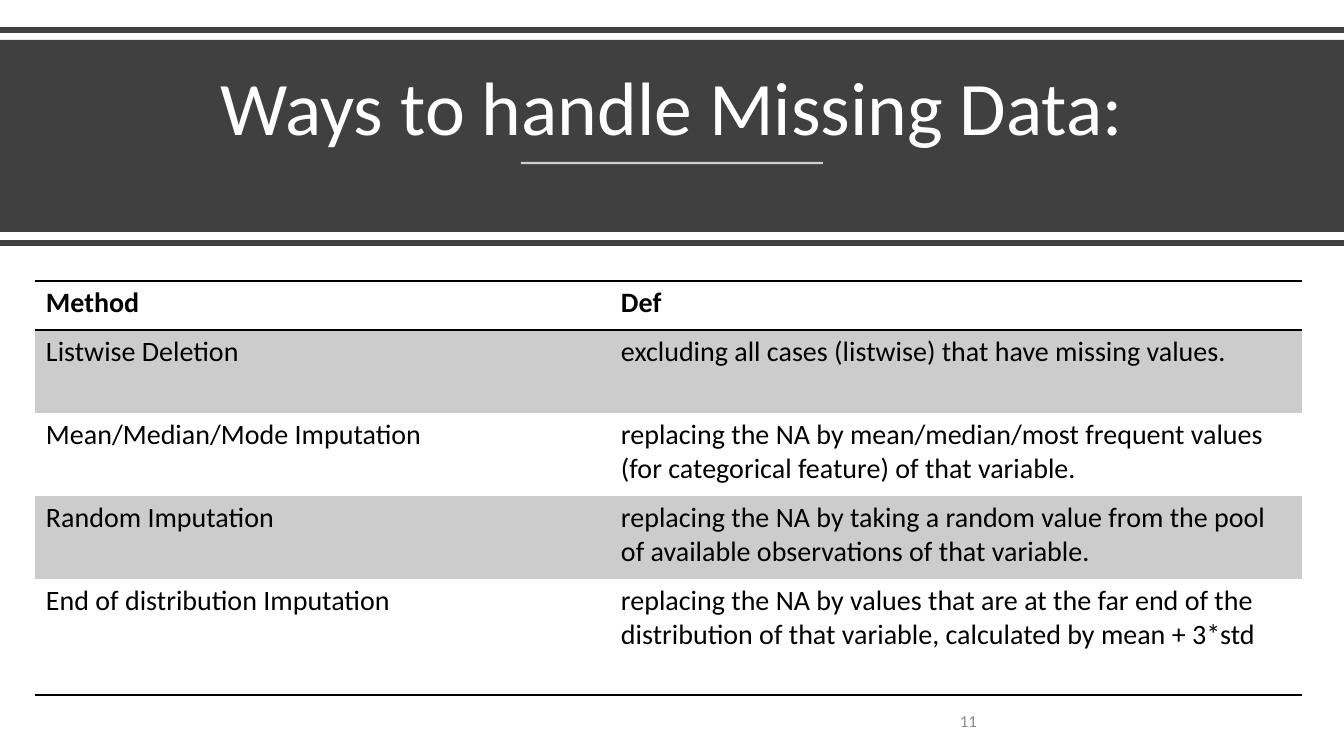
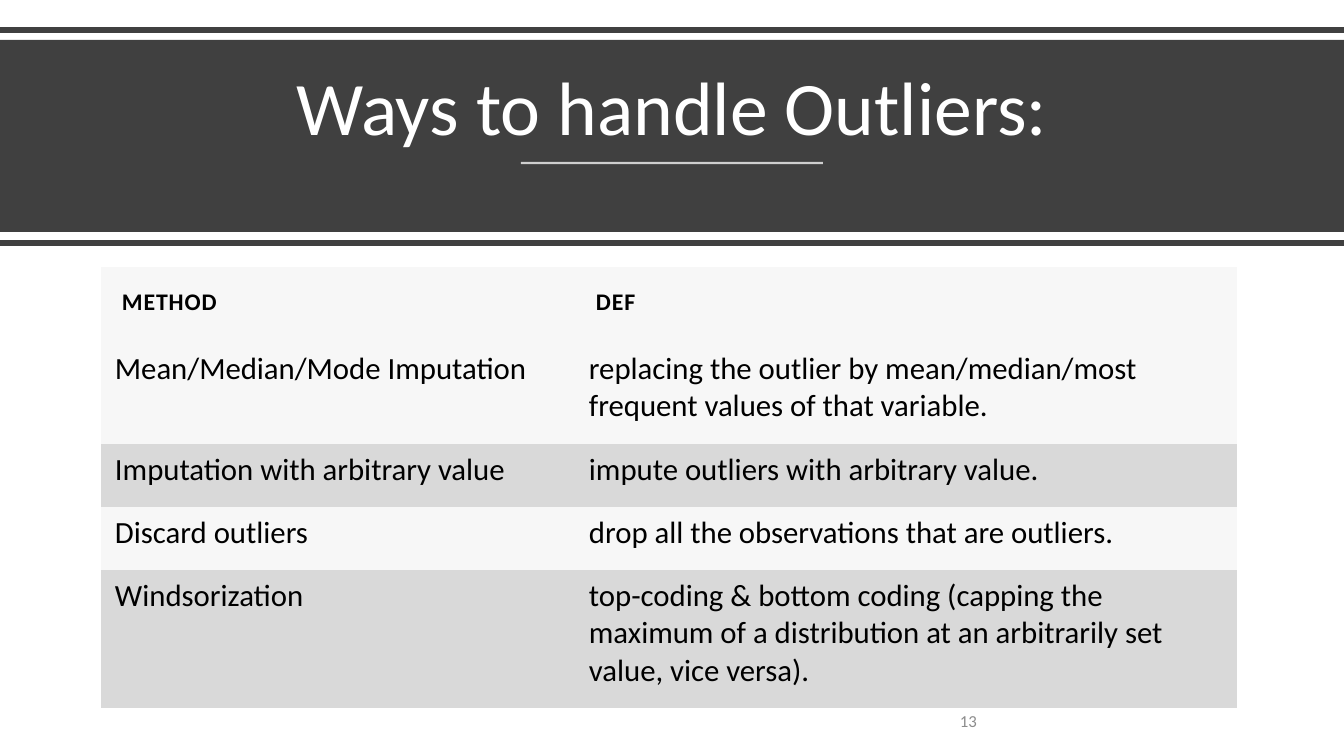
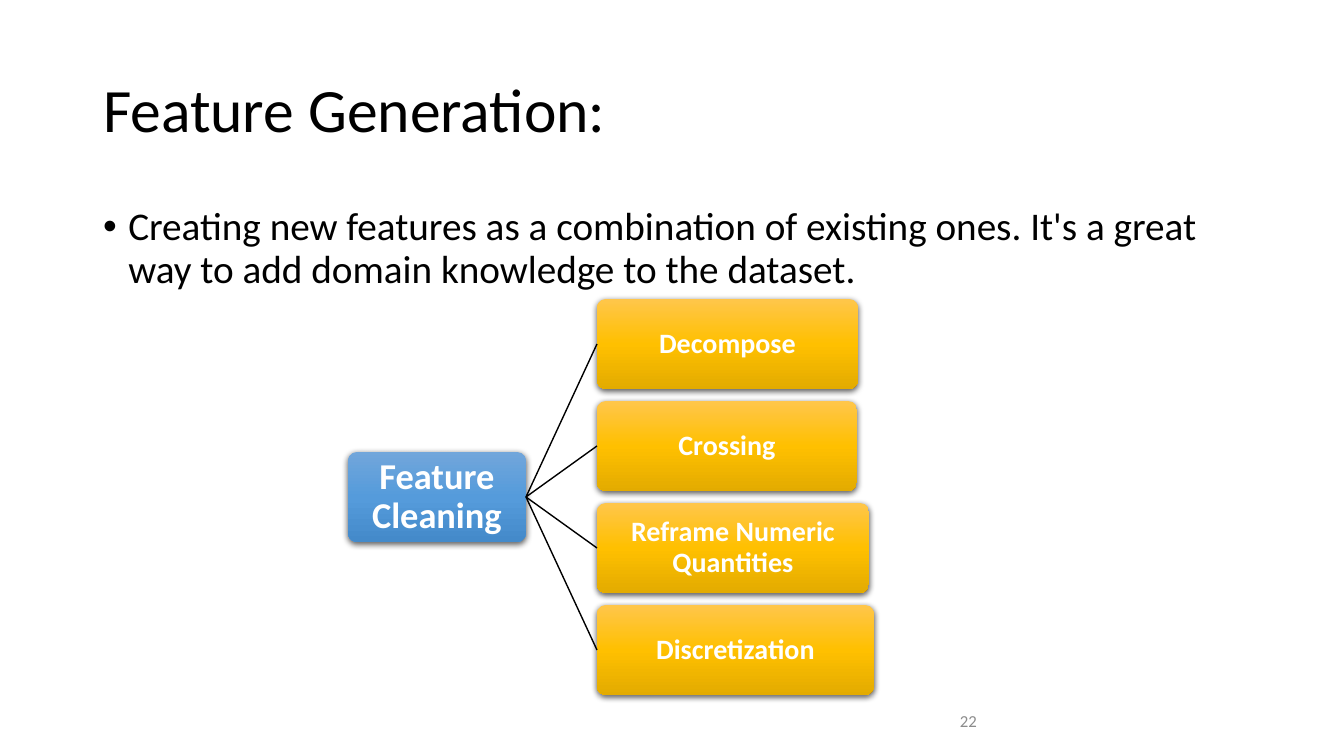
from dataclasses import dataclass

from lxml.etree import SubElement
from pptx import Presentation
from pptx.dml.color import RGBColor
from pptx.enum.shapes import MSO_CONNECTOR, MSO_SHAPE
from pptx.enum.text import MSO_ANCHOR, MSO_AUTO_SIZE, PP_ALIGN
from pptx.oxml.ns import qn
from pptx.util import Emu, Pt

LEFT, CENTER = PP_ALIGN.LEFT, PP_ALIGN.CENTER
TOP, MIDDLE, BOTTOM = MSO_ANCHOR.TOP, MSO_ANCHOR.MIDDLE, MSO_ANCHOR.BOTTOM
STRAIGHT = MSO_CONNECTOR.STRAIGHT
RECTANGLE, ROUNDED = MSO_SHAPE.RECTANGLE, MSO_SHAPE.ROUNDED_RECTANGLE
NO_AUTOFIT = MSO_AUTO_SIZE.NONE
LEFT_SITE, RIGHT_SITE = 1, 3
SCALE = 914400 / 100.8
WIDTH, HEIGHT = 1344, 756
PLAIN_TABLE = "{2D5ABB26-0587-4C30-8999-92F81FD0307C}"


@dataclass(frozen=True)
class Theme:
    font: str = "Calibri"
    dark: str = "404040"
    white: str = "FFFFFF"
    black: str = "000000"
    number: str = "8C8C8C"
    shade: str = "CCCCCC"
    pale: str = "F7F7F7"
    gray: str = "D9D9D9"
    blue: tuple = ("71A6DB", "559BDB", "448ACA")
    gold: tuple = ("FFC64B", "FFC000", "E3AB00")
    band_title_size: int = 54
    title_size: int = 44
    body_size: int = 28
    root_size: int = 26
    branch_size: int = 20
    number_size: int = 12


theme = Theme()


def px(*lengths):
    return [Emu(round(length * SCALE)) for length in lengths]


def write(frame, text, size, color=theme.black, bold=False, align=LEFT,
          spacing=None, before=None, tracking=0):
    paragraph = frame.paragraphs[0]
    paragraph.alignment = align
    paragraph.line_spacing = spacing
    paragraph.space_before = before
    run = paragraph.add_run()
    run.text = text
    run.font.name = theme.font
    run.font.size = Pt(size)
    run.font.bold = bold
    run.font.color.rgb = RGBColor.from_string(color)
    if tracking:
        run._r.get_or_add_rPr().set("spc", str(tracking))
    return paragraph


presentation = Presentation()
presentation.slide_width, presentation.slide_height = px(WIDTH, HEIGHT)
content_layout, title_layout = (presentation.slide_layouts[i] for i in (1, 5))
strokes = []  # connector, colour, width in points

# Table slides: cell margins run left, top, right, bottom
table_slides = [
    dict(
        title="Ways to handle Missing Data:",
        place=(35, 281), columns=(575, 692), rows=(49, 83, 83, 83, 116),
        header_margins=(11, 5, 11, 5), body_margins=(11, 5, 11, 5),
        header_size=20, body_size=20, tracking=0,
        fills=(None, theme.shade, None, theme.shade, None),
        borders={0: ("a:lnT", "a:lnB"), 4: ("a:lnB",)},
        cells=[
            ("Method", "Def"),
            ("Listwise Deletion",
             "excluding all cases (listwise) that have missing values."),
            ("Mean/Median/Mode Imputation",
             "replacing the NA by mean/median/most frequent values "
             "(for categorical feature) of that variable."),
            ("Random Imputation",
             "replacing the NA by taking a random value from the pool "
             "of available observations of that variable."),
            ("End of distribution Imputation",
             "replacing the NA by values that are at the far end of the "
             "distribution of that variable, calculated by mean + 3*std"),
        ],
    ),
    dict(
        title="Ways to handle Outliers:",
        place=(101, 267), columns=(474, 662), rows=(76, 101, 63, 63, 138),
        header_margins=(21, 21, 21, 21), body_margins=(14, 7, 14, 14),
        header_size=17, body_size=22, tracking=60,
        fills=(theme.pale, theme.pale, theme.gray, theme.pale, theme.gray),
        borders={},
        cells=[
            ("METHOD", "DEF"),
            ("Mean/Median/Mode Imputation",
             "replacing the outlier by mean/median/most frequent values "
             "of that variable."),
            ("Imputation with arbitrary value",
             "impute outliers with arbitrary value."),
            ("Discard outliers",
             "drop all the observations that are outliers."),
            ("Windsorization",
             "top-coding & bottom coding (capping the maximum of a "
             "distribution at an arbitrarily set value, vice versa)."),
        ],
    ),
]

for content in table_slides:
    slide = presentation.slides.add_slide(title_layout)
    shapes = slide.shapes

    # Title band with its rules
    band = shapes.add_shape(RECTANGLE, *px(0, 40, WIDTH, 192))
    band.shadow.inherit = False
    band.fill.solid()
    band.fill.fore_color.rgb = RGBColor.from_string(theme.dark)
    band.line.fill.background()
    for start, end, y, color, weight in (
        (0, WIDTH, 30, theme.dark, 4),
        (521, 823, 163, theme.white, 1.5),
        (0, WIDTH, 243, theme.dark, 4),
    ):
        rule = shapes.add_connector(STRAIGHT, *px(start, y, end, y))
        strokes.append((rule, color, weight))

    # Title, raised above the band
    title = shapes.title
    title.left, title.top, title.width, title.height = px(58, 54, 1228, 103)
    title.text_frame.auto_size = NO_AUTOFIT
    title.text_frame.vertical_anchor = BOTTOM
    write(title.text_frame, content["title"], theme.band_title_size,
          color=theme.white, align=CENTER, spacing=0.9)
    shapes._spTree.append(title._element)

    # Table
    columns, rows = content["columns"], content["rows"]
    graphic = shapes.add_table(len(rows), len(columns),
                               *px(*content["place"], sum(columns), sum(rows)))
    table = graphic.table
    table.horz_banding = False
    for style in graphic._element.iter(qn("a:tableStyleId")):
        style.text = PLAIN_TABLE
    for column, width in zip(table.columns, px(*columns)):
        column.width = width
    for row, height in zip(table.rows, px(*rows)):
        row.height = height
    for i, texts in enumerate(content["cells"]):
        header = i == 0
        part = "header" if header else "body"
        for j, text in enumerate(texts):
            cell = table.cell(i, j)
            (cell.margin_left, cell.margin_top, cell.margin_right,
             cell.margin_bottom) = px(*content[part + "_margins"])
            cell.vertical_anchor = TOP
            write(cell.text_frame, text, content[part + "_size"], bold=header,
                  tracking=content["tracking"] if header else 0)
            # Borders precede the fill in the cell properties
            for side in content["borders"].get(i, ()):
                border = SubElement(cell._tc.get_or_add_tcPr(), qn(side), w="12700")
                ink = SubElement(border, qn("a:solidFill"))
                SubElement(ink, qn("a:srgbClr"), val=theme.black)
            if content["fills"][i]:
                cell.fill.solid()
                cell.fill.fore_color.rgb = RGBColor.from_string(content["fills"][i])
            else:
                cell.fill.background()

# Feature generation: title and list
slide = presentation.slides.add_slide(content_layout)
shapes = slide.shapes
title, body = shapes.title, slide.placeholders[1]
title.left, title.top, title.width, title.height = px(93, 40, 1159, 146)
body.left, body.top, body.width, body.height = px(93, 202, 1159, 480)
for placeholder, anchor in ((title, MIDDLE), (body, TOP)):
    placeholder.text_frame.auto_size = NO_AUTOFIT
    placeholder.text_frame.vertical_anchor = anchor
write(title.text_frame, "Feature Generation:", theme.title_size, spacing=0.9)
item = write(body.text_frame,
             "Creating new features as a combination of existing ones. It's a "
             "great way to add domain knowledge to the dataset.",
             theme.body_size, spacing=0.9, before=Pt(10))
properties = item._p.get_or_add_pPr()
properties.set("marL", "228600")
properties.set("indent", "-228600")
SubElement(properties, qn("a:buFont"), typeface="Arial")
SubElement(properties, qn("a:buChar"), char="\u2022")

# Tree: the root box, then its branches
BRANCH_LEFT, BRANCH_TOP, BRANCH_PITCH = 597, 299, 102
branches = [("Decompose", 261), ("Crossing", 260),
            ("Reframe Numeric Quantities", 272), ("Discretization", 277)]
boxes = [("Feature Cleaning", 348, 452, 178, theme.blue, theme.root_size)]
boxes += [(text, BRANCH_LEFT, BRANCH_TOP + i * BRANCH_PITCH, width,
           theme.gold, theme.branch_size)
          for i, (text, width) in enumerate(branches)]
root = None
for text, left, top, width, colors, size in boxes:
    box = shapes.add_shape(ROUNDED, *px(left, top, width, 90))
    box.adjustments[0] = 0.1
    box.line.fill.background()
    box.fill.gradient()
    box.fill.gradient_angle = 270
    stops = box._element.find(".//" + qn("a:gsLst"))
    stops.clear()
    for position, color in zip((0, 50000, 100000), colors):
        stop = SubElement(stops, qn("a:gs"), pos=str(position))
        SubElement(stop, qn("a:srgbClr"), val=color)
    box.shadow.inherit = False
    effects = box._element.spPr.find(qn("a:effectLst"))
    shadow = SubElement(effects, qn("a:outerShdw"), blurRad="57150", dist="19050",
                        dir="5400000", algn="ctr", rotWithShape="0")
    shadow_color = SubElement(shadow, qn("a:srgbClr"), val=theme.black)
    SubElement(shadow_color, qn("a:alpha"), val="63000")
    frame = box.text_frame
    frame.word_wrap = True
    frame.vertical_anchor = MIDDLE
    (frame.margin_left, frame.margin_top, frame.margin_right,
     frame.margin_bottom) = px(4, 4, 4, 4)
    write(frame, text, size, color=theme.white, bold=True, align=CENTER, spacing=0.9)
    if root is None:
        root = box
    else:
        link = shapes.add_connector(STRAIGHT, 0, 0, 0, 0)
        link.begin_connect(root, RIGHT_SITE)
        link.end_connect(box, LEFT_SITE)
        strokes.append((link, theme.black, 1))

# Line formats; the white rule lets the band through
for connector, color, weight in strokes:
    connector.line.color.rgb = RGBColor.from_string(color)
    connector.line.width = Pt(weight)
    SubElement(connector._element.spPr, qn("a:effectLst"))
    if color == theme.white:
        ink = connector._element.spPr.find(".//" + qn("a:srgbClr"))
        SubElement(ink, qn("a:alpha"), val="75000")

# Slide numbers
for slide, number in zip(presentation.slides, ("11", "13", "22")):
    box = slide.shapes.add_textbox(*px(950, 701, 302, 40))
    box.text_frame.word_wrap = True
    box.text_frame.vertical_anchor = MIDDLE
    write(box.text_frame, number, theme.number_size, color=theme.number)

presentation.save("out.pptx")
